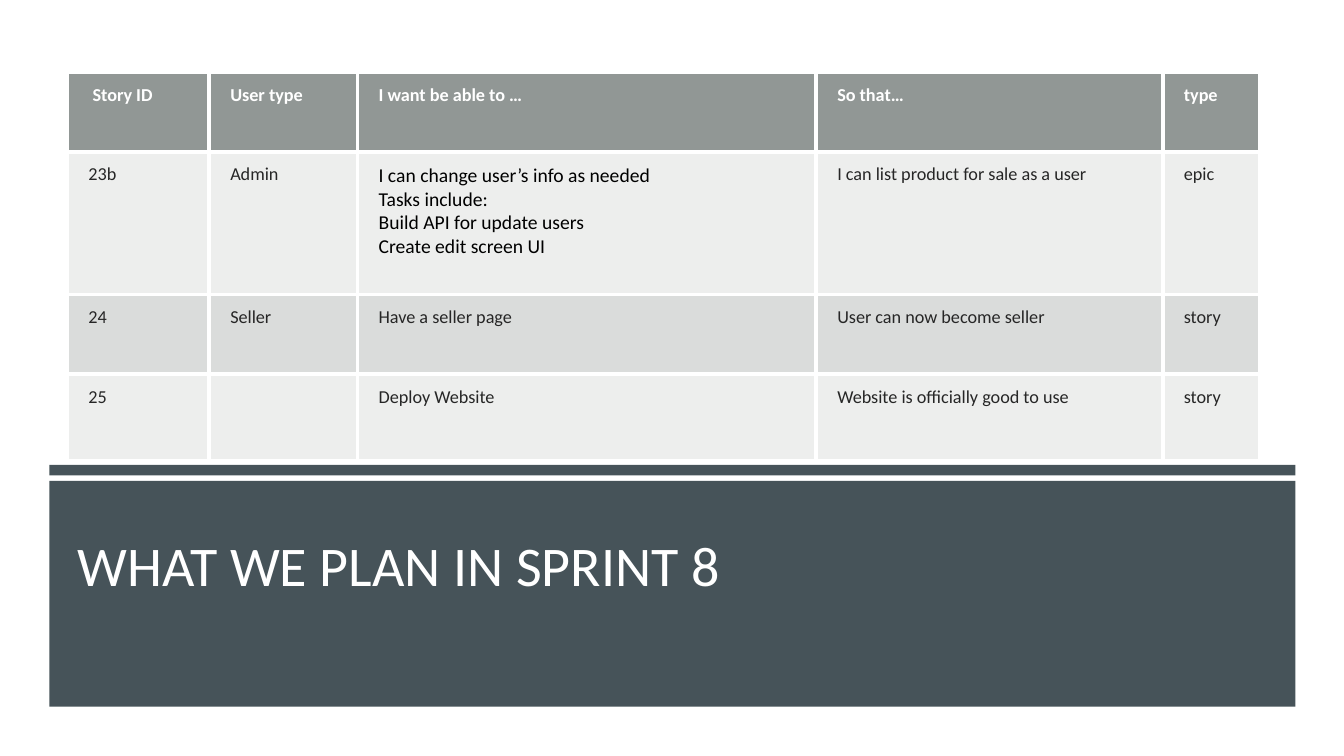
from dataclasses import dataclass

from lxml import etree
from pptx import Presentation
from pptx.dml.color import RGBColor
from pptx.enum.shapes import MSO_SHAPE
from pptx.enum.text import MSO_ANCHOR, PP_ALIGN
from pptx.oxml.ns import qn
from pptx.util import Pt

RECT = MSO_SHAPE.RECTANGLE
BOTTOM = MSO_ANCHOR.BOTTOM
LEFT = PP_ALIGN.LEFT

WHITE = RGBColor(0xFF, 0xFF, 0xFF)
BLACK = RGBColor(0x00, 0x00, 0x00)
SLATE = RGBColor(0x46, 0x53, 0x59)
HEADER_GREY = RGBColor(0x63, 0x6B, 0x68)
ROW_GREY = RGBColor(0x87, 0x8E, 0x8B)
INK = RGBColor(0x26, 0x26, 0x26)
FONT = "Calibri"


@dataclass
class Band:
    top: float
    height: float


@dataclass
class Story:
    cells: tuple[str, ...]
    height: float
    opacity: int
    fill: RGBColor = ROW_GREY
    ink: RGBColor = INK
    bold: bool = False


BANDS = [Band(332, 7.5), Band(343.5, 161.3)]
COLUMN_WIDTHS = [101.3, 106, 327.6, 247.6, 69.2]
TASKS = (
    "I can change user’s info as needed\nTasks include:\n"
    "Build API for update users\nCreate edit screen UI"
)
STORIES = [
    Story((" Story ID", "User type", "I want be able to …", "So that…", "type"),
          57, 70, HEADER_GREY, WHITE, True),
    Story(("23b", "Admin", TASKS, "I can list product for sale as a user", "epic"), 102, 15),
    Story(("24", "Seller", "Have a seller page", "User can now become seller", "story"), 57, 30),
    Story(("25", "", "Deploy Website", "Website is officially good to use", "story"), 62, 15),
]


def add_band(s, band: Band):
    shape = s.shapes.add_shape(RECT, Pt(35.3), Pt(band.top), Pt(890), Pt(band.height))
    shape.shadow.inherit = False
    shape.fill.solid()
    shape.fill.fore_color.rgb = SLATE
    shape.line.fill.background()
    return shape


def style_run(r, size: float, color: RGBColor, bold: bool = False) -> None:
    r.font.name = FONT
    r.font.size = Pt(size)
    r.font.bold = bold
    r.font.color.rgb = color


def format_cell(cell, text: str, story: Story) -> None:
    cell.margin_left = Pt(15)
    cell.margin_right = cell.margin_top = cell.margin_bottom = Pt(8.5)
    cell.text_frame.text = text
    is_task_list = text == TASKS
    for p in cell.text_frame.paragraphs:
        for r in p.runs:
            style_run(r, 14 if is_task_list else 13,
                      BLACK if is_task_list else story.ink, story.bold)

    cell.fill.solid()
    cell.fill.fore_color.rgb = story.fill
    tc_pr = cell._tc.get_or_add_tcPr()
    color = tc_pr.find(qn("a:solidFill"))[0]
    etree.SubElement(color, qn("a:alpha"), val=str(story.opacity * 1000))
    for i, side in enumerate("LRTB"):
        line = etree.Element(qn(f"a:ln{side}"), w=str(Pt(3)))
        fill = etree.SubElement(line, qn("a:solidFill"))
        etree.SubElement(fill, qn("a:srgbClr"), val=str(WHITE))
        tc_pr.insert(i, line)


def add_story_table(s) -> None:
    height = sum(story.height for story in STORIES)
    frame = s.shapes.add_table(len(STORIES), len(COLUMN_WIDTHS), Pt(48.2), Pt(51.4),
                               Pt(sum(COLUMN_WIDTHS)), Pt(height))
    table = frame.table
    table.first_row = table.horz_banding = False
    for column, width in zip(table.columns, COLUMN_WIDTHS):
        column.width = Pt(width)
    for row, story in zip(table.rows, STORIES):
        row.height = Pt(story.height)
        for cell, text in zip(row.cells, story.cells):
            format_cell(cell, text, story)


def format_title(title) -> None:
    title.left, title.top, title.width, title.height = Pt(48.2), Pt(360), Pt(863), Pt(70.6)
    tf = title.text_frame
    tf.text = "WHAT WE PLAN IN SPRINT 8"
    tf.word_wrap = True
    tf.vertical_anchor = BOTTOM
    p = tf.paragraphs[0]
    p.alignment = LEFT
    style_run(p.runs[0], 40, WHITE)


def main() -> None:
    prs = Presentation()
    prs.slide_width, prs.slide_height = Pt(960), Pt(540)
    s = prs.slides.add_slide(prs.slide_layouts[5])
    title = s.shapes.title
    for band in BANDS:
        title.element.addprevious(add_band(s, band).element)
    format_title(title)
    add_story_table(s)
    prs.save("out.pptx")


if __name__ == "__main__":
    main()
